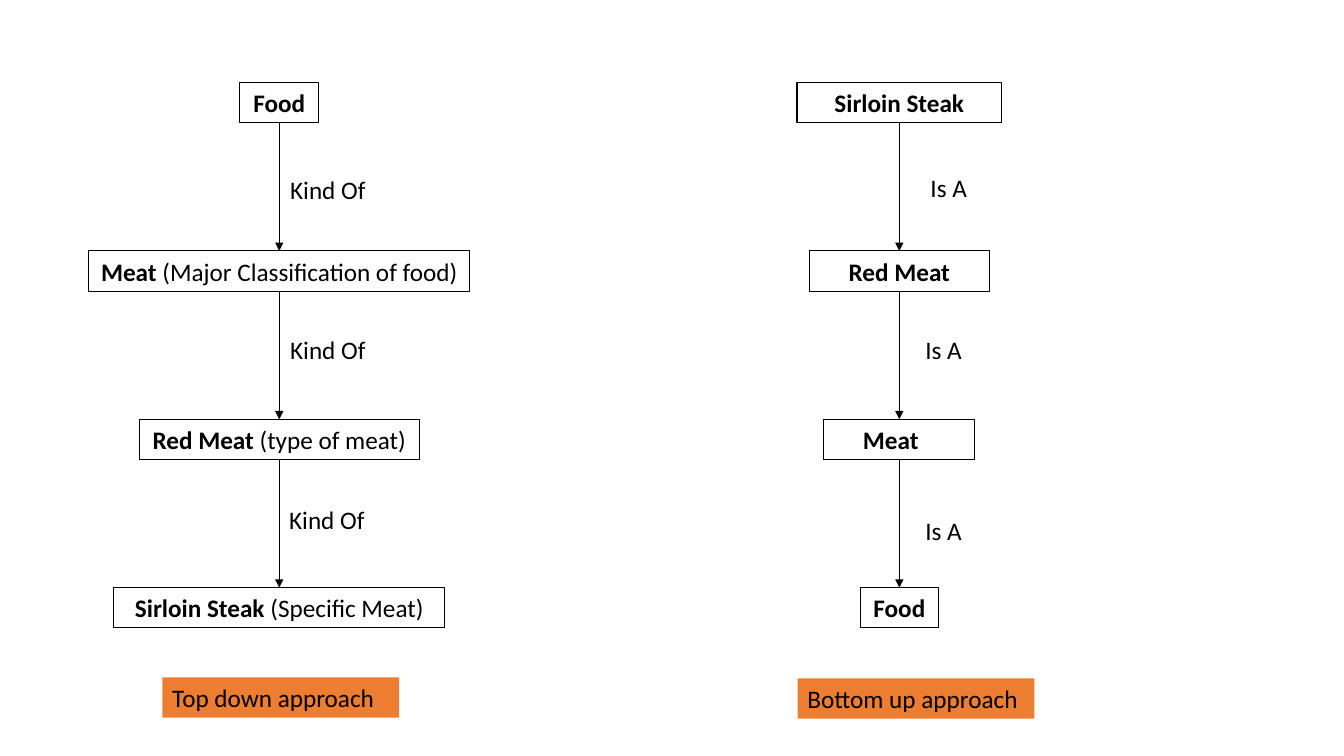
from pptx import Presentation
from pptx.dml.color import RGBColor
from pptx.enum.shapes import MSO_CONNECTOR, MSO_SHAPE
from pptx.enum.text import MSO_ANCHOR, MSO_AUTO_SIZE, PP_ALIGN
from pptx.oxml.ns import qn
from pptx.util import Inches, Pt
from lxml import etree

BLACK = RGBColor(0x00, 0x00, 0x00)
ORANGE = RGBColor(0xED, 0x7D, 0x31)
BOX_H = 0.4
TOP = 0.82
STEP = 1.67

prs = Presentation()
prs.slide_width = Inches(13.33)
prs.slide_height = Inches(7.5)
s = prs.slides.add_slide(prs.slide_layouts[6])


def add_text(sp, runs, align=PP_ALIGN.LEFT):
    tf = sp.text_frame
    tf.word_wrap = True
    tf.auto_size = MSO_AUTO_SIZE.SHAPE_TO_FIT_TEXT
    tf.vertical_anchor = MSO_ANCHOR.MIDDLE
    p = tf.paragraphs[0]
    p.alignment = align
    for text, bold in runs:
        r = p.add_run()
        r.text = text
        r.font.name = "Calibri"
        r.font.size = Pt(18)
        r.font.bold = bold
        r.font.color.rgb = BLACK


def add_box(x, y, w):
    sp = s.shapes.add_shape(
        MSO_SHAPE.RECTANGLE, Inches(x), Inches(y), Inches(w), Inches(BOX_H))
    sp.shadow.inherit = False
    sp.fill.background()
    sp.line.fill.background()
    return sp


chains = [
    {
        "center": 2.77,
        "boxes": [("Food", "", 0.78, 0.1),
                  ("Meat ", "(Major Classification of food)", 3.78, 0.1),
                  ("Red Meat ", "(type of meat)", 2.78, 0.1),
                  ("Sirloin Steak ", "(Specific Meat)", 3.28, 0.1)],
        "relation": ("Kind Of", 1),
        "labels": [(2.78, 1.68), (2.78, 3.27), (2.77, 4.95)],
        "caption": ("Top down approach", 1.61, 6.72),
    },
    {
        "center": 8.92,
        "boxes": [("Sirloin Steak", "", 2.03, 0.1),
                  ("Red Meat", "", 1.78, 0.1),
                  ("Meat", "", 1.5, 0.27),
                  ("Food", "", 0.78, 0.1)],
        "relation": ("Is A", 0.68),
        "labels": [(9.13, 1.66), (9.08, 3.27), (9.08, 5.06)],
        "caption": ("Bottom up approach", 7.91, 6.73),
    },
]

for chain in chains:
    center = chain["center"]
    for i, (name, note, width, right_inset) in enumerate(chain["boxes"]):
        y = TOP + i * STEP
        sp = add_box(center - width / 2, y, width)
        sp.line.color.rgb = BLACK
        sp.line.width = Pt(0.75)
        sp.text_frame.margin_right = Inches(right_inset)
        runs = [(name, True)]
        if note:
            runs.append((note, False))
        add_text(sp, runs, PP_ALIGN.CENTER)
        if i:
            arrow = s.shapes.add_connector(
                MSO_CONNECTOR.STRAIGHT, Inches(center), Inches(y - STEP + BOX_H),
                Inches(center), Inches(y))
            arrow.line.color.rgb = BLACK
            arrow.line.width = Pt(0.5)
            etree.SubElement(arrow.line._get_or_add_ln(), qn("a:tailEnd"), type="triangle")
            etree.SubElement(arrow._element.spPr, qn("a:effectLst"))

    relation, width = chain["relation"]
    for x, y in chain["labels"]:
        label = s.shapes.add_textbox(Inches(x), Inches(y), Inches(width), Inches(BOX_H))
        add_text(label, [(relation, False)])

    caption, x, y = chain["caption"]
    sp = add_box(x, y, 2.35)
    sp.fill.solid()
    sp.fill.fore_color.rgb = ORANGE
    add_text(sp, [(caption, False)])

prs.save("out.pptx")
